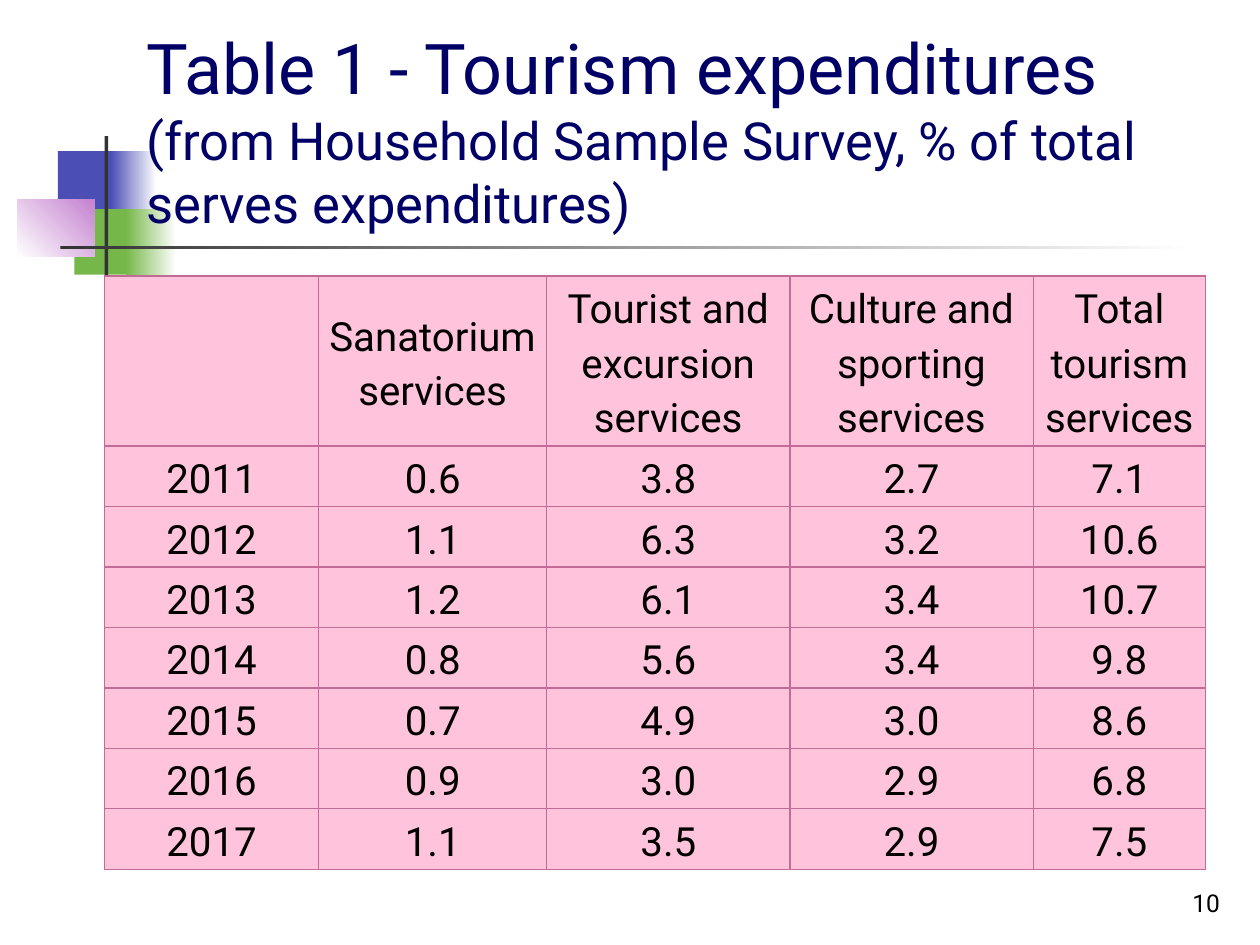
from lxml import etree
from pptx import Presentation
from pptx.dml.color import RGBColor
from pptx.enum.shapes import MSO_SHAPE
from pptx.enum.text import MSO_ANCHOR, MSO_AUTO_SIZE, PP_ALIGN
from pptx.oxml.ns import qn
from pptx.util import Inches, Pt

RECTANGLE = MSO_SHAPE.RECTANGLE
BOTTOM, MIDDLE = MSO_ANCHOR.BOTTOM, MSO_ANCHOR.MIDDLE
LEFT, CENTER, RIGHT = PP_ALIGN.LEFT, PP_ALIGN.CENTER, PP_ALIGN.RIGHT
NO_AUTOFIT = MSO_AUTO_SIZE.NONE

FONT = "Roboto"
BLUE, GREEN, PURPLE = "4B4EB5", "76B749", "C481CF"
DARK, WHITE, NAVY, BLACK = "333333", "FFFFFF", "000066", "000000"
PINK, BORDER = "FFC4DC", "C26B97"

COLUMN_WIDTHS = [1.7, 1.81, 1.93, 1.93, 1.37]
HEADER_HEIGHT, ROW_HEIGHT = 1.35, 0.48
HEADERS = [
    "",
    "Sanatorium services",
    "Tourist and excursion services",
    "Culture and sporting services",
    "Total tourism services",
]
EXPENDITURES = [
    ["2011", "0.6", "3.8", "2.7", "7.1"],
    ["2012", "1.1", "6.3", "3.2", "10.6"],
    ["2013", "1.2", "6.1", "3.4", "10.7"],
    ["2014", "0.8", "5.6", "3.4", "9.8"],
    ["2015", "0.7", "4.9", "3.0", "8.6"],
    ["2016", "0.9", "3.0", "2.9", "6.8"],
    ["2017", "1.1", "3.5", "2.9", "7.5"],
]


def color(hex_string):
    return RGBColor.from_string(hex_string)


def apply_format(target, values):
    for name, value in values.items():
        setattr(target, name, value)


def add_run(paragraph, text, size, font_color):
    run = paragraph.add_run()
    run.text = text
    apply_format(run.font, {"name": FONT, "size": Pt(size)})
    run.font.color.rgb = color(font_color)


def add_block(slide, box, colors, angle=0):
    block = slide.shapes.add_shape(RECTANGLE, *map(Inches, box))
    block.shadow.inherit = False
    block.line.fill.background()
    if len(colors) == 1:
        block.fill.solid()
        block.fill.fore_color.rgb = color(colors[0])
        return
    block.fill.gradient()
    block.fill.gradient_angle = angle
    for stop, stop_color in zip(block.fill.gradient_stops, colors):
        stop.color.rgb = color(stop_color)


def add_ornament(slide, left, top):
    blocks = [
        (0.32, 0.12, 0.48, 0.52, [BLUE]),
        (0.74, 0.12, 0.36, 0.52, [BLUE, WHITE]),
        (0.45, 0.58, 0.46, 0.52, [GREEN]),
        (0.86, 0.58, 0.4, 0.52, [GREEN, WHITE]),
        (0, 0.5, 0.61, 0.46, [WHITE, PURPLE], 45),
        (0.69, 0, 0.03, 1.15, [DARK]),
        (0.34, 0.87, 9, 0.03, [DARK, WHITE]),
    ]
    for x, y, width, height, *fill in blocks:
        add_block(slide, (left + x, top + y, width, height), *fill)


def place_title(slide, left, top, width, height):
    title = slide.shapes.title
    apply_format(title, {
        "left": Inches(left), "top": Inches(top),
        "width": Inches(width), "height": Inches(height),
    })
    title.element.getparent().append(title.element)
    apply_format(title.text_frame, {
        "word_wrap": True, "auto_size": NO_AUTOFIT, "vertical_anchor": BOTTOM,
    })
    paragraph = title.text_frame.paragraphs[0]
    paragraph.alignment = LEFT
    add_run(paragraph, "Table 1 - Tourism expenditures", 40, NAVY)
    paragraph.add_line_break()
    add_run(
        paragraph,
        "(from Household Sample Survey, % of total serves expenditures)",
        30, NAVY,
    )


def add_page_number(slide, left, top, width, height):
    box = slide.shapes.add_textbox(*map(Inches, (left, top, width, height)))
    apply_format(box.text_frame, {"word_wrap": True, "vertical_anchor": BOTTOM})
    paragraph = box.text_frame.paragraphs[0]
    paragraph.alignment = RIGHT
    add_run(paragraph, "10", 14, BLACK)


def add_borders(cell):
    properties = cell._tc.get_or_add_tcPr()
    for position, side in enumerate(("a:lnL", "a:lnR", "a:lnT", "a:lnB")):
        line = etree.Element(qn(side), w=str(Pt(0.75)))
        fill = etree.SubElement(line, qn("a:solidFill"))
        etree.SubElement(fill, qn("a:srgbClr"), val=BORDER)
        properties.insert(position, line)


def fill_cell(cell, text, space):
    cell.fill.solid()
    cell.fill.fore_color.rgb = color(PINK)
    add_borders(cell)
    apply_format(cell, {
        "vertical_anchor": MIDDLE,
        "margin_left": Inches(0.07), "margin_right": Inches(0.07),
        "margin_top": 0, "margin_bottom": 0,
    })
    if text:
        paragraph = cell.text_frame.paragraphs[0]
        apply_format(paragraph, {
            "alignment": CENTER, "line_spacing": 1.15,
            "space_before": Pt(space), "space_after": Pt(space),
        })
        add_run(paragraph, text, 23, BLACK)


def add_expenditure_table(slide, left, top, width, height):
    rows = [HEADERS, *EXPENDITURES]
    table = slide.shapes.add_table(
        len(rows), len(HEADERS), *map(Inches, (left, top, width, height))
    ).table
    apply_format(table, {"first_row": False, "horz_banding": False})
    for column, column_width in zip(table.columns, COLUMN_WIDTHS):
        column.width = Inches(column_width)
    for row_index, texts in enumerate(rows):
        is_header = row_index == 0
        row = table.rows[row_index]
        row.height = Inches(HEADER_HEIGHT if is_header else ROW_HEIGHT)
        for cell, text in zip(row.cells, texts):
            fill_cell(cell, text, 0 if is_header else 6)


def main():
    presentation = Presentation()
    presentation.slide_width = Inches(10)
    presentation.slide_height = Inches(7.5)
    slide = presentation.slides.add_slide(presentation.slide_layouts[5])
    add_ornament(slide, 0.14, 1.08)
    add_page_number(slide, 7.7, 6.83, 2.08, 0.5)
    place_title(slide, 1.06, 0.31, 8.94, 1.6)
    table_height = HEADER_HEIGHT + ROW_HEIGHT * len(EXPENDITURES)
    add_expenditure_table(slide, 0.83, 2.19, sum(COLUMN_WIDTHS), table_height)
    presentation.save("out.pptx")


if __name__ == "__main__":
    main()
